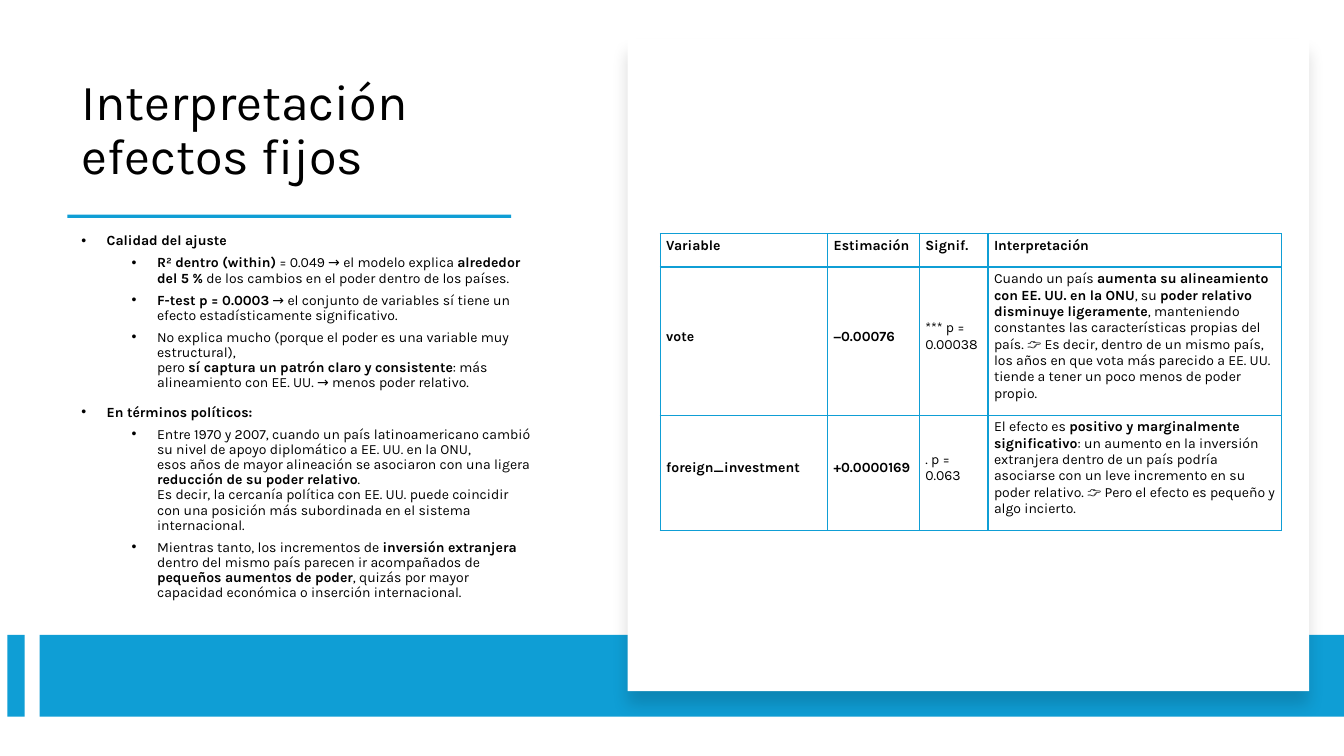
from lxml import etree
from pptx import Presentation
from pptx.dml.color import RGBColor
from pptx.enum.shapes import MSO_SHAPE
from pptx.enum.text import MSO_ANCHOR
from pptx.oxml import parse_xml
from pptx.oxml.ns import qn
from pptx.util import Cm, Pt

RECT = MSO_SHAPE.RECTANGLE
MIDDLE = MSO_ANCHOR.MIDDLE
BOTTOM = MSO_ANCHOR.BOTTOM
BLUE = RGBColor(0x0F, 0x9E, 0xD5)
WHITE = RGBColor(0xFF, 0xFF, 0xFF)
BLACK = RGBColor(0, 0, 0)
NS = 'xmlns:a="http://schemas.openxmlformats.org/drawingml/2006/main"'

HEAD = {"space_before": Pt(10), "line_spacing": 0.9}
ITEM = {"space_before": Pt(5), "line_spacing": 0.9}
CELL = {"margin_left": Cm(0.15), "margin_top": Cm(0.05), "margin_right": Cm(0.1),
        "margin_bottom": Cm(0.3), "vertical_anchor": MIDDLE}

TITLE = "Interpretación efectos fijos"
POINTS = [
    ("|Calidad del ajuste|", [
        "|R² dentro (within)| = 0.049 → el modelo explica |alrededor del 5 %| de los cambios "
        "en el poder dentro de los países.",
        "|F-test p = 0.0003| → el conjunto de variables sí tiene un efecto "
        "estadísticamente significativo.",
        "No explica mucho (porque el poder es una variable muy estructural),\n"
        "pero |sí captura un patrón claro y consistente|: más alineamiento con EE. UU. "
        "→ menos poder relativo.",
    ]),
    ("|En términos políticos:|", [
        "Entre 1970 y 2007, cuando un país latinoamericano cambió su nivel de apoyo "
        "diplomático a EE. UU. en la ONU,\n"
        "esos años de mayor alineación se asociaron con una ligera "
        "|reducción de su poder relativo|.\n"
        "Es decir, la cercanía política con EE. UU. puede coincidir con una posición más "
        "subordinada en el sistema internacional.",
        "Mientras tanto, los incrementos de |inversión extranjera |dentro del mismo país "
        "parecen ir acompañados de |pequeños aumentos de poder|, quizás por mayor capacidad "
        "económica o inserción internacional.",
    ]),
]
COLS = [4.22, 2.31, 1.73, 7.39]
ROWS = [0.84, 3.3, 2.49]
CELLS = [
    ["|Variable|", "|Estimación|", "|Signif.|", "|Interpretación|"],
    ["|vote|", "|−0.00076|", "*** p = 0.00038",
     "Cuando un país |aumenta su alineamiento con EE. UU. en la ONU|, su |poder relativo "
     "disminuye ligeramente|, manteniendo constantes las características propias del país. "
     "👉 Es decir, dentro de un mismo país, los años en que vota más parecido a EE. UU. "
     "tiende a tener un poco menos de poder propio."],
    ["|foreign_investment|", "|+0.0000169|", ". p = 0.063",
     "El efecto es |positivo y marginalmente significativo|: un aumento en la inversión "
     "extranjera dentro de un país podría asociarse con un leve incremento en su poder "
     "relativo. 👉 Pero el efecto es pequeño y algo incierto."],
]


def apply(item, form):
    """Set each value of a format dict on an object."""
    for name, value in form.items():
        setattr(item, name, value)


def write(para, text, size=10):
    """Fill a paragraph, with bold between bars and breaks at newlines."""
    for num, part in enumerate(text.split("|")):
        for row, line in enumerate(part.split("\n")):
            if row:
                para.add_line_break()
            if line:
                run = para.add_run()
                run.text = line
                apply(run.font, {"name": "Karla", "size": Pt(size), "bold": num % 2 == 1})
                run.font.color.rgb = BLACK


def add_bar(slide, box, color):
    """Add a plain filled rectangle."""
    bar = slide.shapes.add_shape(RECT, *map(Cm, box))
    bar.shadow.inherit = False
    bar.fill.solid()
    bar.fill.fore_color.rgb = color
    bar.line.fill.background()
    return bar


def add_shade(shape):
    """Give a shape a soft shadow below it."""
    list_ = shape._element.spPr.find(qn("a:effectLst"))
    list_.append(parse_xml(
        f'<a:outerShdw {NS} blurRad="{Pt(11)}" dist="{Pt(10)}" dir="5400000" algn="t" '
        'rotWithShape="0"><a:srgbClr val="000000"><a:alpha val="15000"/></a:srgbClr>'
        '</a:outerShdw>'))


def add_box(slide, box, anchor):
    """Add a wrapped text box and return its frame."""
    frame = slide.shapes.add_textbox(*map(Cm, box)).text_frame
    apply(frame, {"word_wrap": True, "vertical_anchor": anchor})
    return frame


def add_point(frame, text, level, form):
    """Add a bulleted paragraph at a level."""
    first = frame.paragraphs[0]
    para = frame.add_paragraph() if first.runs else first
    apply(para, {**form, "level": level})
    props = para._p.get_or_add_pPr()
    props.set("marL", str(Cm(0.64 + 1.27 * level)))
    props.set("indent", str(Cm(-0.64)))
    etree.SubElement(props, qn("a:buFont")).set("typeface", "Arial")
    etree.SubElement(props, qn("a:buChar")).set("char", "•")
    write(para, text)


def add_edge(cell, side, width):
    """Draw one border of a cell."""
    cell._tc.get_or_add_tcPr().append(parse_xml(
        f'<a:{side} {NS} w="{Pt(width)}"><a:solidFill><a:srgbClr val="{BLUE}"/>'
        f'</a:solidFill></a:{side}>'))


def add_grid(slide, left, top):
    """Add the table of estimates."""
    grid = slide.shapes.add_table(len(ROWS), len(COLS), Cm(left), Cm(top),
                                  Cm(sum(COLS)), Cm(sum(ROWS))).table
    apply(grid, {"first_row": False, "horz_banding": False})
    for col, width in zip(grid.columns, COLS):
        col.width = Cm(width)
    for num, (row, high) in enumerate(zip(grid.rows, ROWS)):
        row.height = Cm(high)
        for cell, text in zip(row.cells, CELLS[num]):
            apply(cell, CELL)
            thick = {"lnT": 1.5 if num == 1 else 1, "lnB": 1.5 if num == 0 else 1}
            for side in ("lnL", "lnR", "lnT", "lnB"):
                add_edge(cell, side, thick.get(side, 1))
            cell.fill.background()
            write(cell.text_frame.paragraphs[0], text)


def main():
    """Build and save the slide."""
    deck = Presentation()
    apply(deck, {"slide_width": Cm(33.87), "slide_height": Cm(19.05)})
    slide = deck.slides.add_slide(deck.slide_layouts[6])
    title = add_box(slide, (1.8, 1.47, 11.89, 3.33), BOTTOM).paragraphs[0]
    title.line_spacing = 0.9
    write(title, TITLE, 36)
    add_bar(slide, (1.7, 5.41, 11.18, 0.08), BLUE)
    body = add_box(slide, (1.8, 5.64, 11.89, 9.75), MIDDLE)
    for head, items in POINTS:
        add_point(body, head, 0, HEAD)
        for item in items:
            add_point(body, item, 1, ITEM)
    for left, width in ((0.19, 0.43), (1, 32.87)):
        add_bar(slide, (left, 16, width, 2.06), BLUE)
    add_shade(add_bar(slide, (15.82, 0.99, 17.17, 16.43), WHITE))
    add_grid(slide, 16.64, 5.89)
    deck.save("out.pptx")


if __name__ == "__main__":
    main()
